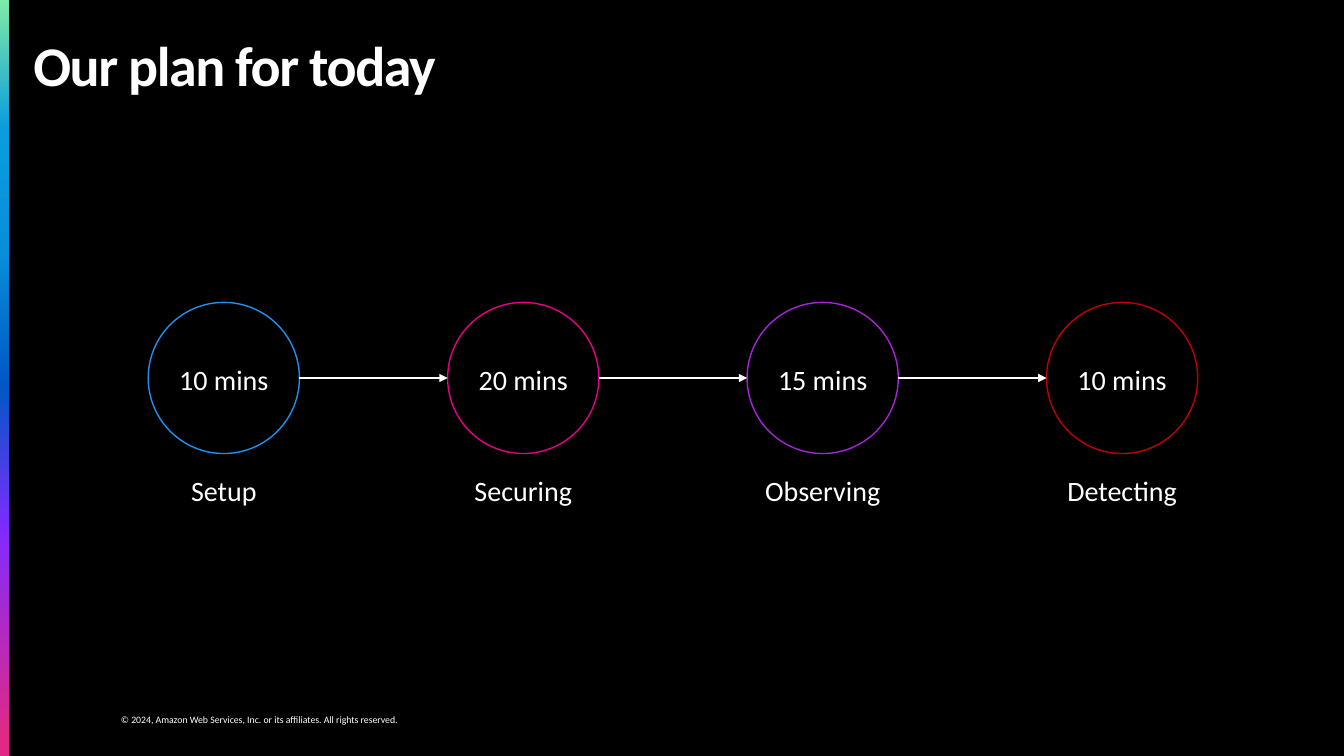
from lxml.etree import SubElement
from pptx import Presentation
from pptx.dml.color import RGBColor
from pptx.enum.shapes import MSO_CONNECTOR, MSO_SHAPE
from pptx.enum.text import MSO_ANCHOR, MSO_AUTO_SIZE, PP_ALIGN
from pptx.oxml.ns import qn
from pptx.util import Inches, Pt

WHITE = "FFFFFF"
STEPS = [
    ("10 mins", "Setup", "1E90EE"),
    ("20 mins", "Securing", "E50086"),
    ("15 mins", "Observing", "A524D8"),
    ("10 mins", "Detecting", "C00000"),
]
BAR_STOPS = [(0, "80EAA8"), (17, "0B9CDD"), (33, "098FD9"),
             (51, "0057C5"), (70, "7F2BFF"), (97, "E02987")]
DIAMETER = 1.5
CIRCLE_TOP = 3
FIRST_CENTER = 2.22
STEP_PITCH = 2.97
COPYRIGHT = "© 2024, Amazon Web Services, Inc. or its affiliates. All rights reserved."


def rgb(color):
    return RGBColor.from_string(color)


def apply(target, values):
    for name, value in values.items():
        setattr(target, name, value)


def write(frame, text, size, align=PP_ALIGN.LEFT, bold=False, margin=0.05, wrap=True):
    apply(frame, {
        "margin_left": 0, "margin_right": 0,
        "margin_top": Inches(margin), "margin_bottom": Inches(margin),
        "word_wrap": wrap, "vertical_anchor": MSO_ANCHOR.TOP,
    })
    paragraph = frame.paragraphs[0]
    paragraph.alignment = align
    run = paragraph.add_run()
    run.text = text
    apply(run.font, {"name": "Calibri", "size": Pt(size), "bold": bold})
    run.font.color.rgb = rgb(WHITE)
    return run


def add_title(slide, text):
    title = slide.shapes.title
    apply(title, {"left": Inches(0.33), "top": Inches(0.33),
                  "width": Inches(12.67), "height": Inches(0.7)})
    run = write(title.text_frame, text, 40, bold=True)
    title.text_frame.auto_size = MSO_AUTO_SIZE.NONE
    title.text_frame.paragraphs[0].line_spacing = 0.9
    run.font._element.set("spc", "-100")


def add_gradient_bar(slide):
    bar = slide.shapes.add_shape(MSO_SHAPE.RECTANGLE, 0, 0, Inches(0.09), Inches(7.5))
    bar.shadow.inherit = False
    bar.line.fill.background()
    bar.fill.gradient()
    bar.fill.gradient_angle = 270
    stops = bar._element.spPr.find(".//" + qn("a:gsLst"))
    stops.clear()
    for percent, color in BAR_STOPS:
        stop = SubElement(stops, qn("a:gs"), pos=str(percent * 1000))
        SubElement(stop, qn("a:srgbClr"), val=color)


def add_copyright(slide):
    box = slide.shapes.add_textbox(Inches(1.2), Inches(7.08), Inches(4.33), Inches(0.12))
    write(box.text_frame, COPYRIGHT, 7, margin=0)


def add_circle(slide, center, color):
    circle = slide.shapes.add_shape(
        MSO_SHAPE.OVAL, Inches(center - DIAMETER / 2), Inches(CIRCLE_TOP),
        Inches(DIAMETER), Inches(DIAMETER))
    circle.shadow.inherit = False
    circle.fill.background()
    circle.line.color.rgb = rgb(color)
    circle.line.width = Pt(1)


def add_label(slide, center, top, text):
    width = 1.3
    box = slide.shapes.add_textbox(
        Inches(center - width / 2), Inches(top), Inches(width), Inches(0.44))
    write(box.text_frame, text, 20, PP_ALIGN.CENTER, wrap=False)


def add_arrow(slide, start, end):
    middle = Inches(CIRCLE_TOP + DIAMETER / 2)
    arrow = slide.shapes.add_connector(
        MSO_CONNECTOR.STRAIGHT, Inches(start), middle, Inches(end), middle)
    arrow.line.color.rgb = rgb(WHITE)
    arrow.line.width = Pt(1.5)
    SubElement(arrow.line._get_or_add_ln(), qn("a:tailEnd"), type="triangle")
    SubElement(arrow._element.spPr, qn("a:effectLst"))


def add_timeline(slide):
    for index, (duration, step, color) in enumerate(STEPS):
        center = FIRST_CENTER + index * STEP_PITCH
        add_circle(slide, center, color)
        add_label(slide, center, 3.55, duration)
        add_label(slide, center, 4.65, step)
        if index:
            add_arrow(slide, center - STEP_PITCH + DIAMETER / 2, center - DIAMETER / 2)


def main():
    deck = Presentation()
    deck.slide_width, deck.slide_height = Inches(13.33), Inches(7.5)
    slide = deck.slides.add_slide(deck.slide_layouts[5])
    slide.background.fill.solid()
    slide.background.fill.fore_color.rgb = rgb("000000")
    add_copyright(slide)
    add_gradient_bar(slide)
    add_title(slide, "Our plan for today")
    add_timeline(slide)
    deck.save("out.pptx")


if __name__ == "__main__":
    main()
